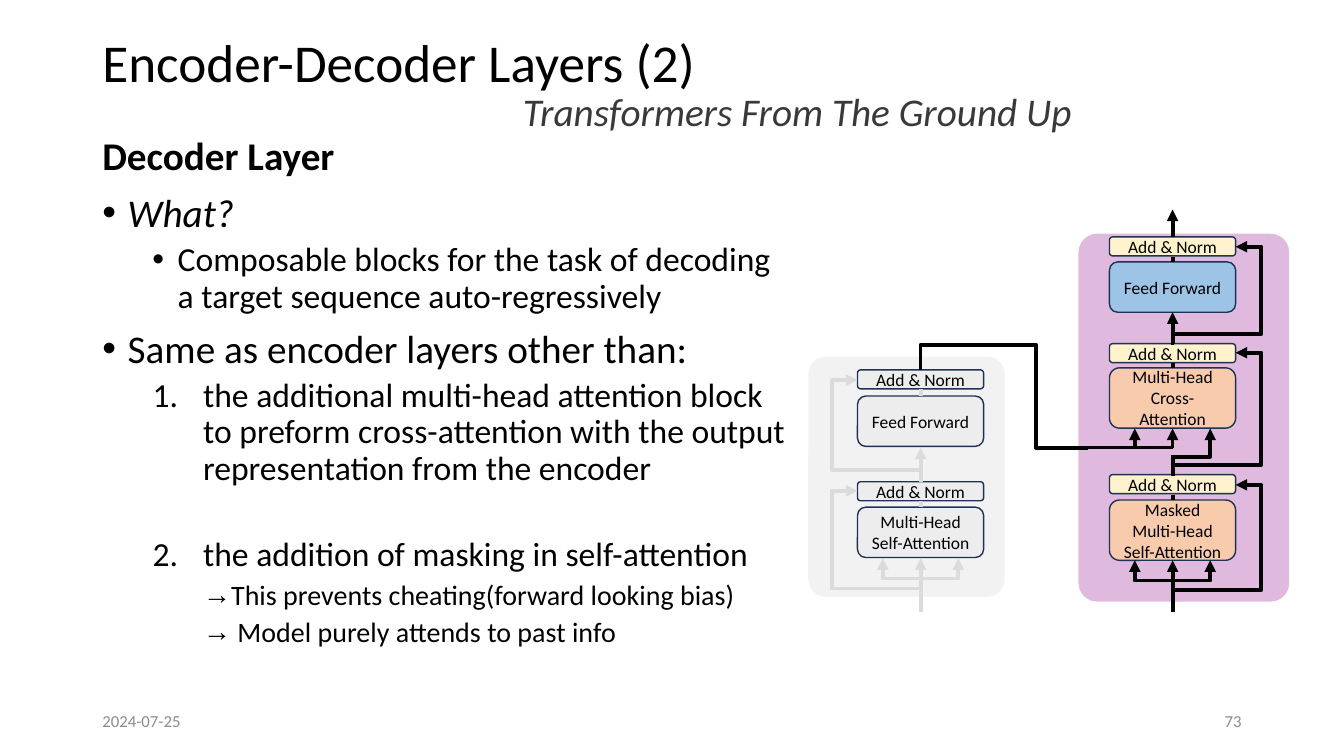
from lxml import etree
from pptx import Presentation
from pptx.dml.color import RGBColor
from pptx.enum.shapes import MSO_CONNECTOR, MSO_SHAPE
from pptx.enum.text import MSO_ANCHOR, PP_ALIGN
from pptx.oxml.ns import qn
from pptx.util import Cm, Pt

STRAIGHT, ELBOW = MSO_CONNECTOR.STRAIGHT, MSO_CONNECTOR.ELBOW
ROUNDED = MSO_SHAPE.ROUNDED_RECTANGLE
TOP, MIDDLE = MSO_ANCHOR.TOP, MSO_ANCHOR.MIDDLE
LEFT, CENTER, RIGHT = PP_ALIGN.LEFT, PP_ALIGN.CENTER, PP_ALIGN.RIGHT

BLACK, PALE, NAVY = "000000", "DBDBDB", "1E3256"
GREY, CREAM, BLUE, PEACH = "EDEDED", "FFF2CC", "9DC3E6", "F8CBAD"

# Diagram grid, in centimetres
ENCODER_X, DECODER_X = 23.2, 29.55
BLOCK_WIDTH, NORM_HEIGHT = 3.18, 0.48
PORT_GAP = 0.95


def color(value):
    return RGBColor.from_string(value)


def add_xml(parent, tag, **values):
    element = etree.SubElement(parent, qn(tag))
    for name, value in values.items():
        element.set(name, str(value))
    return element


class SlideBuilder:
    font_name = "Calibri"
    line_width = Pt(2.75)

    def __init__(self, slide):
        self.shapes = slide.shapes

    def add_span(self, para, text, fill=BLACK, **formats):
        span = para.add_run()
        span.text = text
        span.font.color.rgb = color(fill)
        for name, value in {"name": self.font_name, **formats}.items():
            setattr(span.font, name, value)

    def text_box(self, left, top, width, height, anchor=MIDDLE):
        box = self.shapes.add_textbox(Cm(left), Cm(top), Cm(width), Cm(height))
        box.text_frame.word_wrap = True
        box.text_frame.vertical_anchor = anchor
        return box.text_frame

    def label(self, place, text, align=LEFT, spacing=1.0, **formats):
        para = self.text_box(*place).paragraphs[0]
        para.alignment, para.line_spacing = align, spacing
        self.add_span(para, text, **formats)

    def outline(self, place, items):
        frame = self.text_box(*place, anchor=TOP)
        for index, (text, margin, indent, bullet, before, formats) in enumerate(items):
            para = frame.add_paragraph() if index else frame.paragraphs[0]
            props = para._p.get_or_add_pPr()
            props.set("marL", str(Cm(margin)))
            props.set("indent", str(Cm(indent)))
            para.line_spacing, para.space_before = 0.9, Pt(before)
            if bullet == "1.":
                add_xml(props, "a:buFont", typeface="+mj-lt")
                add_xml(props, "a:buAutoNum", type="arabicPeriod")
            elif bullet:
                add_xml(props, "a:buFont", typeface="Arial")
                add_xml(props, "a:buChar", char=bullet)
            self.add_span(para, text, **formats)

    def rounded(self, left, top, width, height, fill):
        shape = self.shapes.add_shape(ROUNDED, Cm(left), Cm(top), Cm(width), Cm(height))
        shape.shadow.inherit = False
        shape.fill.solid()
        shape.fill.fore_color.rgb = color(fill)
        return shape

    def panel(self, left, top, width, height, fill):
        shape = self.rounded(left, top, width, height, fill)
        shape.adjustments[0] = 0.088
        shape.line.fill.background()
        add_xml(shape._element.spPr.find(".//" + qn("a:srgbClr")), "a:alpha", val=50000)

    def block(self, center, top, height, fill, text):
        shape = self.rounded(center - BLOCK_WIDTH / 2, top, BLOCK_WIDTH, height, fill)
        shape.line.color.rgb = color(NAVY)
        shape.line.width = Pt(1)
        frame = shape.text_frame
        frame.word_wrap, frame.vertical_anchor = True, MIDDLE
        para = frame.paragraphs[0]
        para.alignment = CENTER
        self.add_span(para, text, size=Pt(12.5))

    def connector(self, kind, start, end, stroke, arrow=True):
        line = self.shapes.add_connector(kind, *(Cm(value) for value in (*start, *end)))
        line.line.color.rgb = color(stroke)
        line.line.width = self.line_width
        if arrow:
            add_xml(line._element.spPr.find(qn("a:ln")), "a:tailEnd", type="triangle")
        add_xml(line._element.spPr, "a:effectLst")
        return line

    def bend(self, line, preset, *ratios):
        geometry = line._element.spPr.find(qn("a:prstGeom"))
        geometry.set("prst", preset)
        guides = geometry.find(qn("a:avLst"))
        for number, ratio in enumerate(ratios, 1):
            add_xml(guides, "a:gd", name=f"adj{number}", fmla=f"val {round(ratio * 100000)}")

    def elbow(self, start, end, stroke):
        """Go sideways first, then up into the block."""
        self.bend(self.connector(ELBOW, start, end, stroke), "bentConnector3", 1)

    def loop(self, start, turn, end, stroke, arrow=True):
        """Go vertically to the turn's y, across to its x, then on to the end."""
        (x1, y1), (x2, y2) = start, end
        across, down = x2 - x1, y2 - y1
        middle_x, middle_y = (x1 + x2) / 2, (y1 + y2) / 2
        half_w, half_h = abs(down) / 2, abs(across) / 2
        line = self.connector(ELBOW, (middle_x - half_w, middle_y - half_h),
                              (middle_x + half_w, middle_y + half_h), stroke, arrow)
        self.bend(line, "bentConnector4", (turn[1] - y1) / down, (turn[0] - x1) / across)
        rising_right = across > 0 > down
        frame = line._element.spPr.find(qn("a:xfrm"))
        frame.set("rot", str((90 if rising_right else 270) * 60000))
        frame.set("flipH", str(int(rising_right or down > 0)))
        frame.set("flipV", str(int(rising_right or across < 0)))


def main():
    deck = Presentation()
    deck.slide_width, deck.slide_height = Cm(33.87), Cm(19.05)
    page = SlideBuilder(deck.slides.add_slide(deck.slide_layouts[6]))

    # Title, subtitle and footer
    page.label((2.33, 0.38, 29.21, 2.51), "Encoder-Decoder Layers (2)",
               spacing=0.9, size=Pt(38))
    page.label((2.51, 1.98, 24.74, 1.75), "Transformers From The Ground Up", RIGHT, 0.9,
               fill="3B3838", size=Pt(28), italic=True)
    footer = {"fill": "8C8C8C", "size": Pt(12)}
    page.label((2.33, 17.65, 7.62, 1.02), "2024-07-25", **footer)
    page.label((23.92, 17.65, 7.62, 1.02), "73", RIGHT, **footer)

    # Outline: text, margin, indent, bullet, space before, format
    large, medium, small = ({"size": Pt(size)} for size in (28, 24, 20))
    page.outline((2.33, 3.33, 17.75, 13.67), [
        ("Decoder Layer", 0, 0, None, 0, {**large, "bold": True}),
        ("What?", 0.64, -0.64, "•", 10, {**large, "italic": True}),
        ("Composable blocks for the task of decoding a target sequence auto-regressively",
         1.9, -0.64, "•", 5, medium),
        ("Same as encoder layers other than:", 0.64, -0.64, "•", 10, large),
        ("the additional multi-head attention block to preform cross-attention with "
         "the output representation from the encoder", 2.54, -1.27, "1.", 5, medium),
        ("the addition of masking in self-attention", 2.54, -1.27, "1.", 36, medium),
        ("This prevents cheating(forward looking bias)", 3.18, -0.64, "→", 5, small),
        (" Model purely attends to past info", 3.18, -0.64, "→", 5, small),
    ])

    # Panels
    page.panel(27.18, 5.89, 5.31, 9.27, "C175BF")
    page.panel(20.37, 8.99, 4.95, 6.05, "E7E6E6")

    # Blocks
    for center, fill, tops in ((ENCODER_X, GREY, (9.32, 12.14)),
                               (DECODER_X, CREAM, (5.97, 8.66, 11.96))):
        for top in tops:
            page.block(center, top, NORM_HEIGHT, fill, "Add & Norm")
    for center, top, height, fill, text in (
            (ENCODER_X, 9.98, 1.27, GREY, "Feed Forward"),
            (ENCODER_X, 12.78, 1.27, GREY, "Multi-Head Self-Attention"),
            (DECODER_X, 6.6, 1.27, BLUE, "Feed Forward"),
            (DECODER_X, 9.27, 1.52, PEACH, "Multi-Head Cross-Attention"),
            (DECODER_X, 12.6, 1.52, PEACH, "Masked Multi-Head Self-Attention")):
        page.block(center, top, height, fill, text)

    # Vertical flow: arrows, then plain links
    for center, stroke, arrows, links in (
            (ENCODER_X, PALE, ((15.42, 14.07), (12.14, 11.28)),
             ((12.78, 12.62), (9.8, 9.98))),
            (DECODER_X, BLACK, ((15.42, 14.12), (8.66, 7.87), (5.97, 5.28)),
             ((12.47, 12.6), (11.99, 11.46), (9.14, 9.27), (6.6, 6.48)))):
        for spans, arrow in ((arrows, True), (links, False)):
            for start, end in spans:
                page.connector(STRAIGHT, (center, start), (center, end), stroke, arrow)

    # Residual loops: start, turn and end heights
    for center, side, stroke, heights in (
            (ENCODER_X, -1, PALE, ((14.94, 14.83, 12.37), (11.81, 11.84, 9.58))),
            (DECODER_X, 1, BLACK, ((15.04, 14.86, 12.22), (11.61, 11.71, 8.89),
                                   (8.69, 8.41, 6.22)))):
        for start, turn, end in heights:
            page.loop((center, start), (center + side * 2.24, turn),
                      (center + side * BLOCK_WIDTH / 2, end), stroke)

    # Attention inputs
    for center, stroke, start, end in ((ENCODER_X, PALE, 14.58, 14.07),
                                       (DECODER_X, BLACK, 14.63, 14.12)):
        for side in (-1, 1):
            page.elbow((center, start), (center + side * PORT_GAP, end), stroke)
    page.elbow((DECODER_X, 11.51), (DECODER_X + PORT_GAP, 10.8), BLACK)
    for port in (DECODER_X, DECODER_X - PORT_GAP):
        page.elbow((port - 1.5, 11.28), (port, 10.8), BLACK)

    # Encoder output into cross-attention
    page.loop((ENCODER_X, 9.32), (26.11, 8.69), (27.41, 11.28), BLACK, arrow=False)

    deck.save("out.pptx")


if __name__ == "__main__":
    main()
